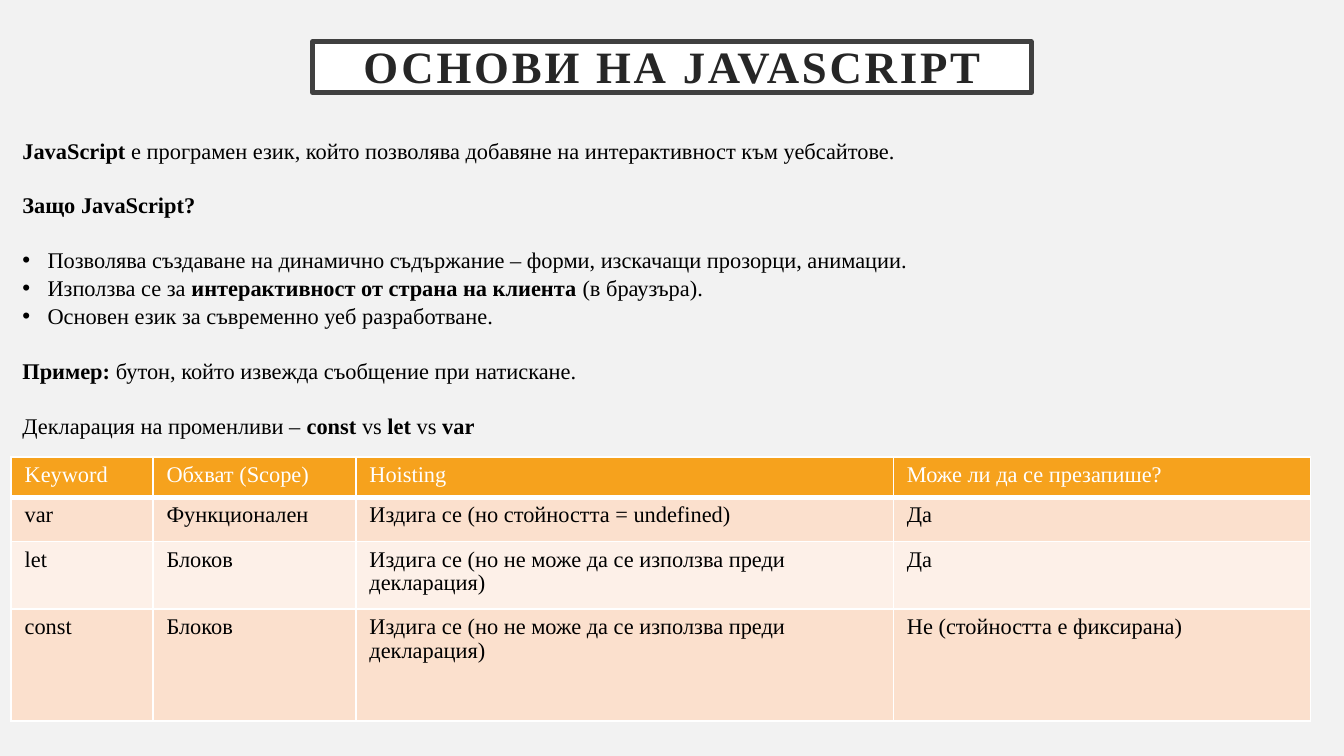
from lxml.etree import SubElement
from pptx import Presentation
from pptx.dml.color import RGBColor
from pptx.enum.text import MSO_ANCHOR, MSO_AUTO_SIZE, PP_ALIGN
from pptx.oxml.ns import qn
from pptx.util import Pt

FONT = "Times New Roman"
BACK = RGBColor(0xF2, 0xF2, 0xF2)
WHITE = RGBColor(0xFF, 0xFF, 0xFF)
BLACK = RGBColor(0, 0, 0)
DARK = RGBColor(0x26, 0x26, 0x26)
FRAME = RGBColor(0x40, 0x40, 0x40)
ORANGE = RGBColor(0xF6, 0xA2, 0x1D)
PEACH = RGBColor(0xFB, 0xE0, 0xCD)
CREAM = RGBColor(0xFD, 0xF0, 0xE8)

TITLE = "**ОСНОВИ НА JAVASCRIPT**"

# Text with ** around bold parts, whether bulleted, space before
BODY = [
    ("**JavaScript** е програмен език, който позволява добавяне на "
     "интерактивност към уебсайтове.", False, 0),
    ("**Защо JavaScript?**", False, 14.4),
    ("Позволява създаване на динамично съдържание – форми, изскачащи "
     "прозорци, анимации.", True, 14.4),
    ("Използва се за **интерактивност от страна на клиента** (в браузъра).",
     True, 0),
    ("Основен език за съвременно уеб разработване.", True, 0),
    ("**Пример:** бутон, който извежда съобщение при натискане.", False, 14.4),
    ("Декларация на променливи – **const **vs** let **vs** var**", False, 14.4),
]

ROWS = [
    ("Keyword", "Обхват (Scope)", "Hoisting", "Може ли да се презапише?"),
    ("var", "Функционален", "Издига се (но стойността = undefined)", "Да"),
    ("let", "Блоков",
     "Издига се (но не може да се използва преди декларация)", "Да"),
    ("const", "Блоков",
     "Издига се (но не може да се използва преди декларация)",
     "Не (стойността е фиксирана)"),
]
WIDTHS = [76, 108.7, 288, 223.3]
HEIGHTS = [21.6, 23.8, 36, 60]


def write(para, text, size=12, color=BLACK, line=1.0, before=0,
          align=PP_ALIGN.LEFT, track=0):
    """Fill a paragraph, setting the parts between ** marks in bold."""
    para.alignment = align
    para.line_spacing = line
    para.space_before = Pt(before)
    para.space_after = Pt(0)
    for i, part in enumerate(text.split("**")):
        if not part:
            continue
        run = para.add_run()
        run.text = part
        font = run.font
        font.name, font.size, font.bold = FONT, Pt(size), i % 2 == 1
        font.color.rgb = color
        if track:
            font._element.set("spc", str(int(track * 100)))


def mark(para, listed):
    """Give a paragraph a hanging bullet, or remove the inherited one."""
    props = para._p.get_or_add_pPr()
    hang = Pt(13.5) if listed else 0
    props.set("marL", str(hang))
    props.set("indent", str(-hang))
    if listed:
        SubElement(props, qn("a:buFont"), typeface="Arial")
        SubElement(props, qn("a:buChar"), char="•")
    else:
        SubElement(props, qn("a:buNone"))


def place(shape, left, top, width, height, inset, anchor):
    shape.left, shape.top = Pt(left), Pt(top)
    shape.width, shape.height = Pt(width), Pt(height)
    frame = shape.text_frame
    frame.word_wrap = True
    frame.auto_size = MSO_AUTO_SIZE.NONE
    frame.vertical_anchor = anchor
    frame.margin_left = frame.margin_right = frame.margin_bottom = 0
    frame.margin_top = Pt(inset)
    return frame


def edge(cell, base):
    """Draw white cell borders, the bottom one of width base."""
    props = cell._tc.get_or_add_tcPr()
    for side, width in (("L", 1), ("R", 1), ("T", 1), ("B", base)):
        line = SubElement(props, qn(f"a:ln{side}"), w=str(Pt(width)))
        fill = SubElement(line, qn("a:solidFill"))
        SubElement(fill, qn("a:srgbClr"), val=str(WHITE))


def add_grid(slide):
    grid = slide.shapes.add_table(
        len(ROWS), len(WIDTHS), Pt(6), Pt(244.8),
        Pt(sum(WIDTHS)), Pt(sum(HEIGHTS))).table
    for col, width in zip(grid.columns, WIDTHS):
        col.width = Pt(width)
    for r, (row, height) in enumerate(zip(ROWS, HEIGHTS)):
        grid.rows[r].height = Pt(height)
        fill = ORANGE if r == 0 else PEACH if r % 2 else CREAM
        for c, text in enumerate(row):
            cell = grid.cell(r, c)
            edge(cell, 3 if r == 0 else 1)
            cell.fill.solid()
            cell.fill.fore_color.rgb = fill
            write(cell.text_frame.paragraphs[0], text, line=0.95,
                  color=WHITE if r == 0 else BLACK)


def main():
    deck = Presentation()
    deck.slide_width, deck.slide_height = Pt(720), Pt(405)
    slide = deck.slides.add_slide(deck.slide_layouts[1])
    slide.background.fill.solid()
    slide.background.fill.fore_color.rgb = BACK

    title, body = slide.placeholders
    frame = place(title, 167.5, 22.3, 385, 27.4, 1.4, MSO_ANCHOR.MIDDLE)
    title.fill.solid()
    title.fill.fore_color.rgb = WHITE
    title.line.color.rgb = FRAME
    title.line.width = Pt(2.5)
    write(frame.paragraphs[0], TITLE, size=24, color=DARK, line=0.9,
          align=PP_ALIGN.CENTER, track=1.5)

    frame = place(body, 12, 72, 660, 234, 0.7, MSO_ANCHOR.TOP)
    for i, (text, listed, before) in enumerate(BODY):
        para = frame.add_paragraph() if i else frame.paragraphs[0]
        mark(para, listed)
        write(para, text, line=1.04, before=before)

    add_grid(slide)
    deck.save("out.pptx")


if __name__ == "__main__":
    main()
